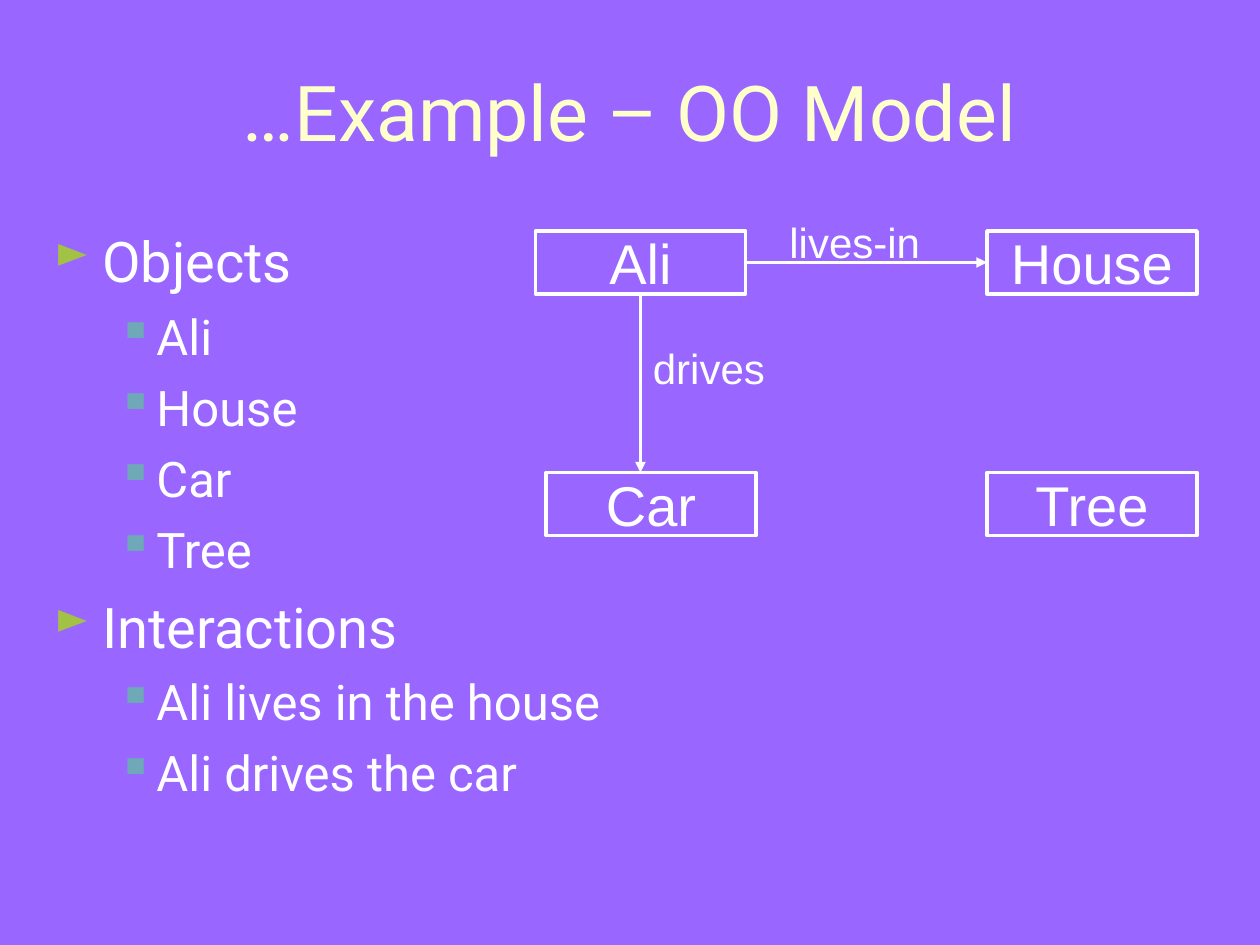
from lxml.etree import SubElement
from pptx import Presentation
from pptx.dml.color import RGBColor
from pptx.enum.shapes import MSO_CONNECTOR, MSO_SHAPE
from pptx.enum.text import MSO_ANCHOR, MSO_AUTO_SIZE, PP_ALIGN
from pptx.oxml.ns import qn
from pptx.util import Inches, Pt

COLORS = {
    "back": "9966FF",
    "title": "FFFFCC",
    "text": "FFFFFF",
    "arrow": "A3C145",
    "square": "6FA9B7",
}
# Per level: font size, space before, left margin, hang, mark, mark colour, mark size
LEVELS = [
    (32, 8, 0.38, 0.38, "►", "arrow", 80),
    (28, 7, 0.81, 0.31, "▪", "square", 100),
]
TOPICS = {
    "Objects": ["Ali", "House", "Car", "Tree"],
    "Interactions": ["Ali lives in the house", "Ali drives the car"],
}
BOX_W, BOX_H = 20, 6


def color(name):
    return RGBColor.from_string(COLORS[name])


def unit(count):
    """Length of grid units; the slide is 120 columns by 90 rows."""
    return Inches(count / 12)


def write(para, text, size, font="Arial", ink="text", align=PP_ALIGN.LEFT, before=0):
    para.alignment = align
    para.space_before = Pt(before)
    run = para.add_run()
    run.text = text
    run.font.size = Pt(size)
    run.font.name = font
    run.font.color.rgb = color(ink)


def mark(para, left, hang, char, ink, size):
    """Give a paragraph its bullet and hanging indent."""
    props = para._p.get_or_add_pPr()
    props.set("marL", str(Inches(left)))
    props.set("indent", str(-Inches(hang)))
    fill = SubElement(props, qn("a:buClr"))
    SubElement(fill, qn("a:srgbClr"), val=COLORS[ink])
    SubElement(props, qn("a:buSzPct"), val=str(size * 1000))
    SubElement(props, qn("a:buChar"), char=char)


class Board:
    """Holds the text font and the slide being drawn."""

    def __init__(self, slide, font):
        self.slide, self.font = slide, font
        slide.background.fill.solid()
        slide.background.fill.fore_color.rgb = color("back")

    def title(self, text, *area):
        head = self.slide.shapes.title
        head.left, head.top, head.width, head.height = map(unit, area)
        frame = head.text_frame
        frame.auto_size = MSO_AUTO_SIZE.NONE
        frame.vertical_anchor = MSO_ANCHOR.MIDDLE
        write(frame.paragraphs[0], text, 44, self.font, "title", PP_ALIGN.CENTER)

    def frame(self, *area):
        frame = self.slide.shapes.add_textbox(*map(unit, area)).text_frame
        frame.word_wrap = True
        return frame

    def outline(self, topics, *area):
        frame = self.frame(*area)
        lines = [(text, level) for head, items in topics.items()
                 for text, level in [(head, 0)] + [(item, 1) for item in items]]
        for i, (text, level) in enumerate(lines):
            para = frame.add_paragraph() if i else frame.paragraphs[0]
            size, before, *bullet = LEVELS[level]
            para.level = level
            write(para, text, size, self.font, before=before)
            mark(para, *bullet)

    def box(self, text, col, row):
        area = map(unit, (col, row, BOX_W, BOX_H))
        shape = self.slide.shapes.add_shape(MSO_SHAPE.RECTANGLE, *area)
        shape.shadow.inherit = False
        shape.fill.background()
        shape.line.color.rgb = color("text")
        shape.line.width = Pt(2)
        frame = shape.text_frame
        frame.word_wrap = False
        frame.vertical_anchor = MSO_ANCHOR.MIDDLE
        write(frame.paragraphs[0], text, 32, align=PP_ALIGN.CENTER)
        return shape

    def link(self, start, end):
        """Draw an arrow between two points of the grid."""
        line = self.slide.shapes.add_connector(
            MSO_CONNECTOR.STRAIGHT, *map(unit, start + end))
        line.line.color.rgb = color("text")
        line.line.width = Pt(2)
        SubElement(line.line._get_or_add_ln(), qn("a:tailEnd"), type="triangle")
        SubElement(line._element.spPr, qn("a:effectLst"))
        return line

    def label(self, text, col, row):
        write(self.frame(col, row, 15, 6).paragraphs[0], text, 24, before=15)


def main():
    deck = Presentation()
    deck.slide_width, deck.slide_height = unit(120), unit(90)
    board = Board(deck.slides.add_slide(deck.slide_layouts[5]), "Roboto")
    board.title("…Example – OO Model", 4, 3, 112, 15)
    board.outline(TOPICS, 4, 21, 112, 59)

    left, right, top, low = 51, 94, 22, 45
    ali = board.box("Ali", left, top)
    board.box("Car", left + 1, low)
    house = board.box("House", right, top)
    board.box("Tree", right, low)

    mid, base = top + BOX_H / 2, top + BOX_H
    lives = board.link((left + BOX_W, mid), (right, mid))
    lives.begin_connect(ali, 3)
    lives.end_connect(house, 1)
    center = left + BOX_W / 2
    drives = board.link((center, base), (center, low))
    drives.begin_connect(ali, 2)

    board.label("lives-in", 74, 20)
    board.label("drives", center, 32)
    deck.save("out.pptx")


if __name__ == "__main__":
    main()
